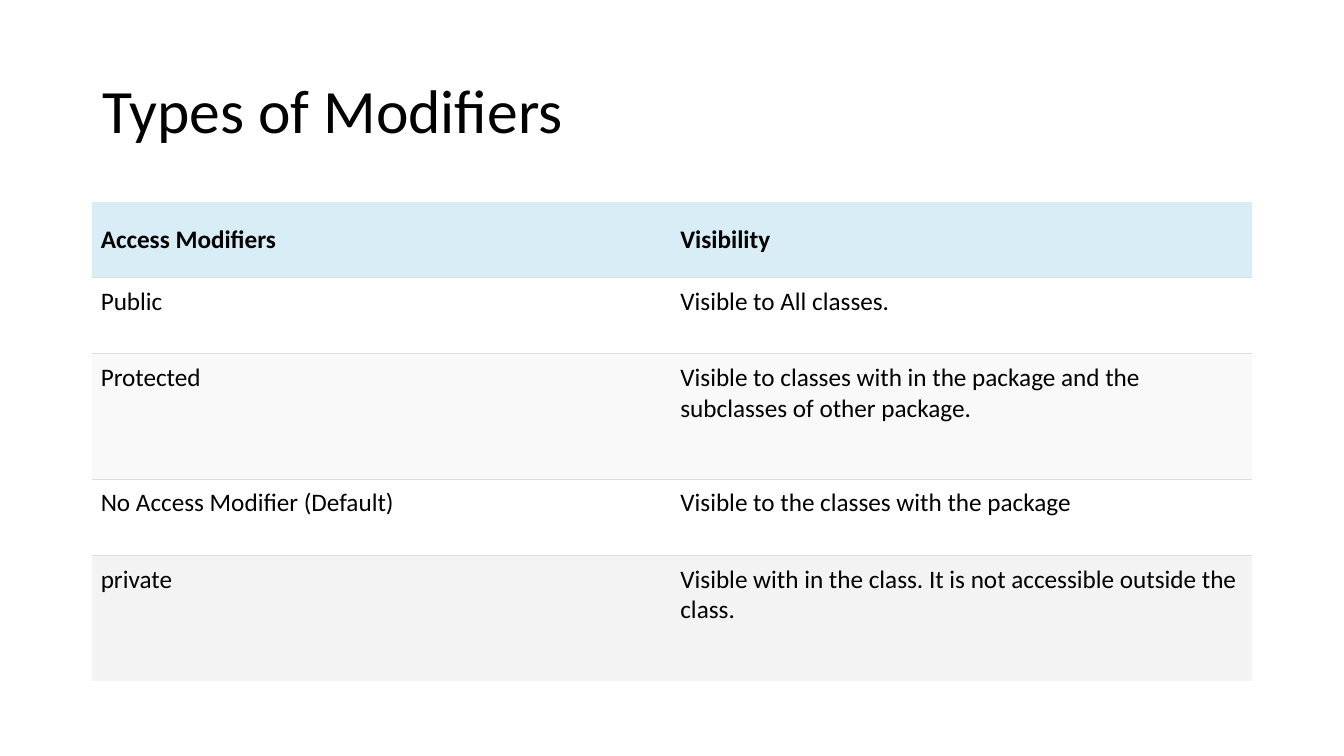
import pptx
import pptx.dml.color
import pptx.enum.text
import pptx.oxml.ns
import pptx.util
from dataclasses import dataclass
from lxml import etree

Pt = pptx.util.Pt
Anchor = pptx.enum.text.MSO_ANCHOR


@dataclass(frozen=True)
class Theme:
    font: str = "Calibri"
    ink: str = "000000"
    rule: str = "DDDDDD"
    header: str = "D9EDF7"
    plain: str = "FFFFFF"
    light: str = "F9F9F9"
    shaded: str = "F3F3F3"
    title_size: float = 44
    body_size: float = 18
    rule_width: float = 0.75


theme = Theme()


def write(frame, text, size, bold=False):
    paragraph = frame.paragraphs[0]
    run = paragraph.add_run()
    run.text = text
    for name, value in {"name": theme.font, "size": Pt(size), "bold": bold}.items():
        setattr(run.font, name, value)
    run.font.color.rgb = pptx.dml.color.RGBColor.from_string(theme.ink)
    return paragraph


def set_borders(cell, ruled_sides):
    """Rule the given sides (from L, R, T, B) and clear the others."""
    qn = pptx.oxml.ns.qn
    properties = cell._tc.get_or_add_tcPr()
    for side in "LRTB":
        line = etree.SubElement(properties, qn(f"a:ln{side}"), w=str(Pt(theme.rule_width)))
        if side in ruled_sides:
            fill = etree.SubElement(line, qn("a:solidFill"))
            etree.SubElement(fill, qn("a:srgbClr"), val=theme.rule)
        else:
            etree.SubElement(line, qn("a:noFill"))


deck = pptx.Presentation()
deck.slide_width, deck.slide_height = Pt(960), Pt(540)
slide = deck.slides.add_slide(deck.slide_layouts[6])

left, width = 66, 828

title = slide.shapes.add_textbox(Pt(left), Pt(28.75), Pt(width), Pt(104.4)).text_frame
title.word_wrap = True
title.vertical_anchor = Anchor.MIDDLE
write(title, "Types of Modifiers", theme.title_size).line_spacing = 0.9

one_line, two_lines = 54.4, 89.7
modifiers = [
    (one_line, theme.header, "Access Modifiers", "Visibility"),
    (one_line, theme.plain, "Public", "Visible to All classes."),
    (two_lines, theme.light, "Protected",
     "Visible to classes with in the package and the subclasses of other package."),
    (one_line, theme.plain, "No Access Modifier (Default)",
     "Visible to the classes with the package"),
    (two_lines, theme.shaded, "private",
     "Visible with in the class. It is not accessible outside the class."),
]
table_height = sum(height for height, *_ in modifiers)
table = slide.shapes.add_table(
    len(modifiers), 2, Pt(left), Pt(144), Pt(width), Pt(table_height)).table
table.first_row = table.horz_banding = False
for column in table.columns:
    column.width = Pt(width / 2)

last = len(modifiers) - 1
for row, (height, fill, *texts) in enumerate(modifiers):
    table.rows[row].height = Pt(height)
    is_header = row == 0
    ruled_sides = ("" if is_header else "T") + ("" if row == last else "B")
    for column, text in enumerate(texts):
        cell = table.cell(row, column)
        for side in ("left", "right", "top", "bottom"):
            setattr(cell, f"margin_{side}", Pt(6))
        cell.vertical_anchor = Anchor.MIDDLE if is_header else Anchor.TOP
        set_borders(cell, ruled_sides)
        cell.fill.solid()
        cell.fill.fore_color.rgb = pptx.dml.color.RGBColor.from_string(fill)
        write(cell.text_frame, text, theme.body_size, bold=is_header)

deck.save("out.pptx")
